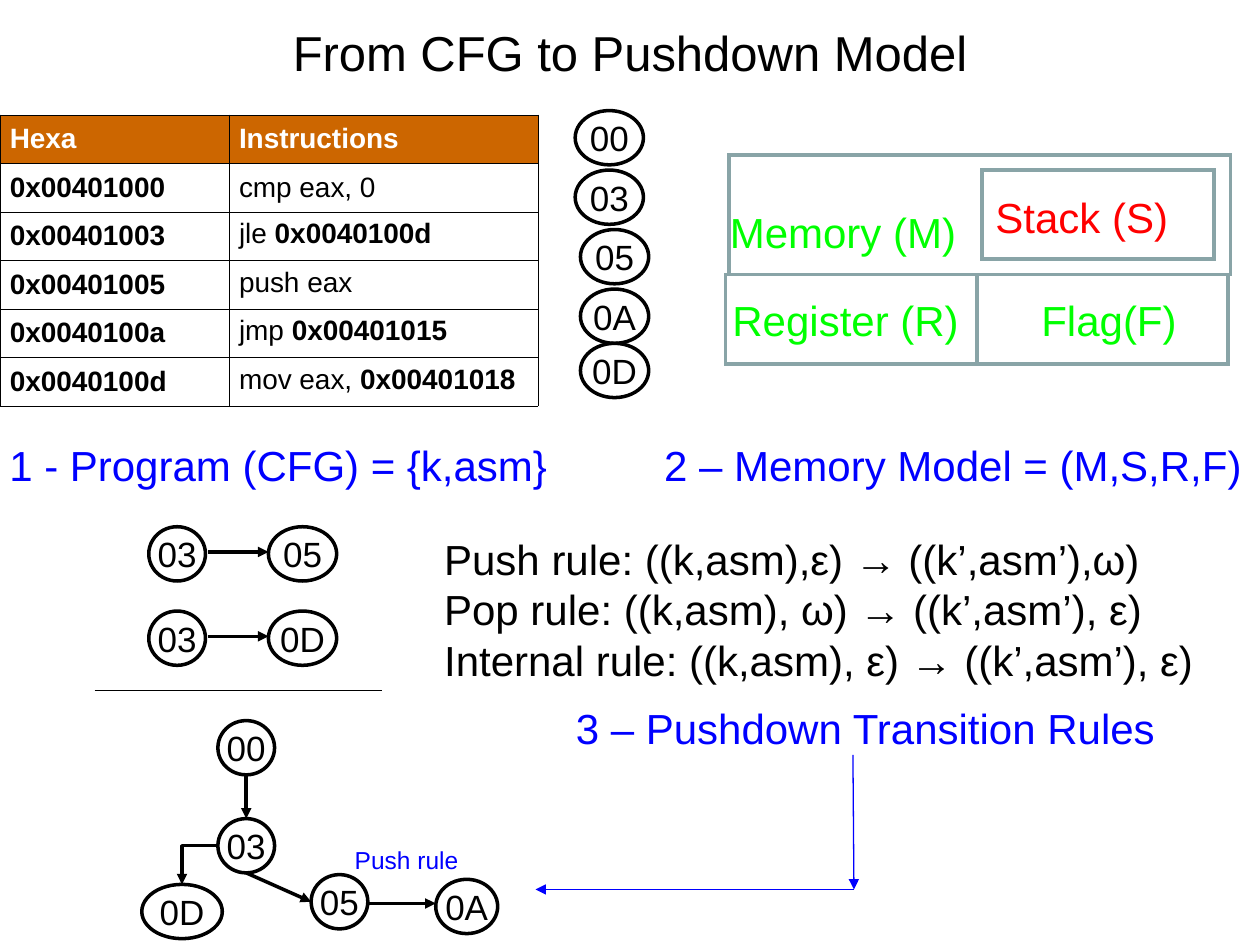
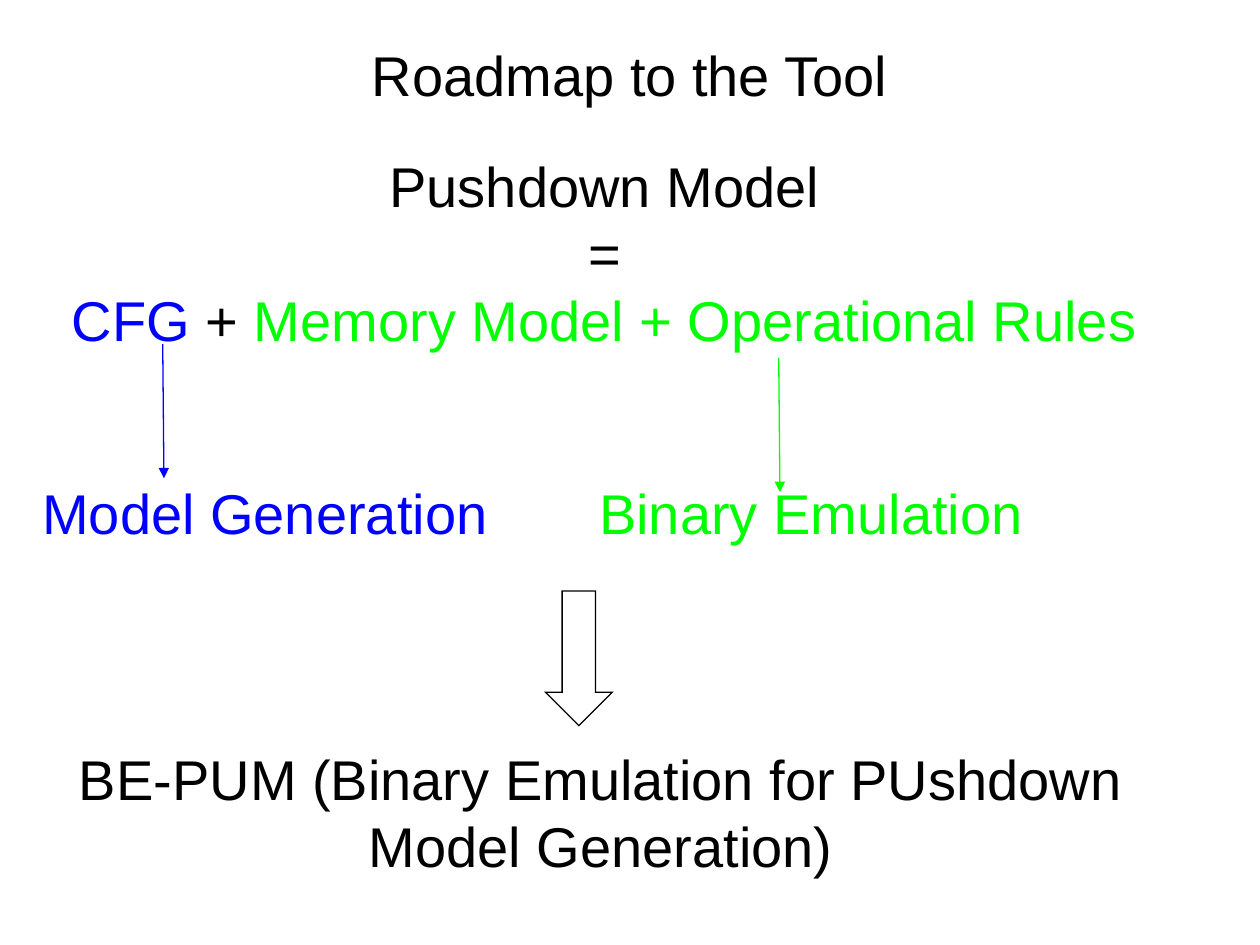
from pptx import Presentation, util as u
from pptx.dml.color import RGBColor
from pptx.enum import shapes, text
from pptx.oxml import parse_xml
from pptx.oxml.ns import nsdecls, qn
from lxml import etree

Pt = u.Pt
FONT = "Arial"
COLORS = {"black": "000000", "white": "FFFFFF", "blue": "0000FF", "green": "00FF00",
          "red": "FF0000", "frame": "89A4A7", "header": "CC6600"}
CENTER, LEFT = text.PP_ALIGN.CENTER, text.PP_ALIGN.LEFT
MIDDLE = text.MSO_ANCHOR.MIDDLE
NODE_HEIGHT = 31


def rgb(name):
    return RGBColor.from_string(COLORS[name])


# ---- Shared helpers ----
def write_paragraph(paragraph, runs, size, align=CENTER):
    """Each run is (words, colour) or (words, colour, bold)."""
    paragraph.alignment = align
    for words, color, *bold in runs:
        run = paragraph.add_run()
        run.text = words
        run.font.name, run.font.size = FONT, Pt(size)
        run.font.bold = bool(bold and bold[0])
        run.font.color.rgb = rgb(color)


def write_lines(frame, lines, size, align=CENTER):
    for number, runs in enumerate(lines):
        paragraph = frame.add_paragraph() if number else frame.paragraphs[0]
        write_paragraph(paragraph, runs, size, align)


def place(shape, left, top, width, height):
    shape.left, shape.top, shape.width, shape.height = map(Pt, (left, top, width, height))


def add_text(slide, box, lines, size=24, align=CENTER, anchor=None):
    frame = slide.shapes.add_textbox(*map(Pt, box)).text_frame
    frame.word_wrap = True
    if anchor is not None:
        frame.vertical_anchor = anchor
    write_lines(frame, lines, size, align)


def add_label(slide, words, color, left, top, width):
    """A single line that never wraps, centred on its box."""
    frame = slide.shapes.add_textbox(*map(Pt, (left, top, width, 36))).text_frame
    frame.word_wrap = False
    frame.auto_size = text.MSO_AUTO_SIZE.SHAPE_TO_FIT_TEXT
    write_lines(frame, [[(words, color)]], 24)


def add_title(slide, words, size, height):
    title = slide.shapes.title
    place(title, 36, 9.4, 648, height)
    title.text_frame.auto_size = text.MSO_AUTO_SIZE.NONE
    title.text_frame.vertical_anchor = MIDDLE
    write_lines(title.text_frame, [[(words, "black")]], size)


def add_outline(slide, kind, box, color="frame", width=2.0):
    shape = slide.shapes.add_shape(kind, *map(Pt, box))
    shape.shadow.inherit = False
    shape.fill.background()
    shape.line.color.rgb = rgb(color)
    shape.line.width = Pt(width)
    etree.SubElement(shape._element.spPr.find(qn("a:ln")), qn("a:miter"), lim="800000")
    return shape


def add_node(slide, label, left, top, width=32.4):
    node = add_outline(slide, shapes.MSO_SHAPE.OVAL, (left, top, width, NODE_HEIGHT), "black")
    node.fill.solid()
    node.fill.fore_color.rgb = rgb("white")
    frame = node.text_frame
    frame.margin_left = frame.margin_right = frame.margin_top = frame.margin_bottom = 0
    frame.vertical_anchor = MIDDLE
    write_lines(frame, [[(label, "black")]], 20)


def add_line(slide, start, end, color="black", width=2.0, arrow=True, bent=False):
    kind = shapes.MSO_CONNECTOR.ELBOW if bent else shapes.MSO_CONNECTOR.STRAIGHT
    line = slide.shapes.add_connector(kind, *map(Pt, start + end))
    line.line.color.rgb = rgb(color)
    line.line.width = Pt(width)
    properties = line._element.spPr
    if bent:
        properties.find(qn("a:prstGeom")).set("prst", "bentConnector2")
    if arrow:
        etree.SubElement(properties.find(qn("a:ln")), qn("a:tailEnd"), type="triangle")
    etree.SubElement(properties, qn("a:effectLst"))


# ---- Regions of the pushdown model slide ----
def format_cell(cell, runs, fill, spacing):
    cell.margin_left = cell.margin_right = Pt(5.6)
    cell.margin_top = cell.margin_bottom = Pt(3.6)
    paragraph = cell.text_frame.paragraphs[0]
    paragraph.line_spacing = spacing
    write_paragraph(paragraph, runs, 16, LEFT)
    if fill:
        cell.fill.solid()
        cell.fill.fore_color.rgb = rgb(fill)
    else:
        cell.fill.background()
    properties = cell._tc.get_or_add_tcPr()
    for index, side in enumerate(("lnL", "lnR", "lnT", "lnB")):
        properties.insert(index, parse_xml(
            f'<a:{side} {nsdecls("a")} w="5715"><a:solidFill>'
            f'<a:srgbClr val="{COLORS["black"]}"/></a:solidFill></a:{side}>'))


def draw_instructions(slide, left, top):
    listing = [("0x00401000", "cmp eax, 0", ""), ("0x00401003", "jle ", "0x0040100d"),
               ("0x00401005", "push eax", ""), ("0x0040100a", "jmp ", "0x00401015"),
               ("0x0040100d", "mov eax, ", "0x00401018")]
    row_height = 27.75
    row_count = len(listing) + 1
    table = slide.shapes.add_table(row_count, 2, Pt(left), Pt(top),
                                   Pt(307.5), Pt(row_count * row_height)).table
    table.first_row = table.horz_banding = False
    table.columns[0].width, table.columns[1].width = Pt(131), Pt(176.5)
    for row in table.rows:
        row.height = Pt(row_height)
    for column, heading in enumerate(("Hexa", "Instructions")):
        format_cell(table.cell(0, column), [(heading, "white", True)], "header", 1.07)
    for row, (address, operation, target) in enumerate(listing, 1):
        format_cell(table.cell(row, 0), [(address, "black", True)], None, 1.07)
        runs = [(operation, "black")] + ([(target, "black", True)] if target else [])
        format_cell(table.cell(row, 1), runs, None, 1.07 if row == 1 else 1.0)


def draw_states(slide, left, top):
    states = [("00", 0, 0), ("03", 0, 34), ("05", 3, 68), ("0A", 3, 102), ("0D", 3, 133)]
    for label, shift, drop in states:
        add_node(slide, label, left + shift, top + drop, 39)


def draw_memory_model(slide, left, top):
    frames = [(2, 0, 286.5, 68.4), (146.5, 8.6, 132.5, 51),
              (0, 68.4, 143.5, 51), (143.5, 68.4, 143.5, 51)]
    for x, y, width, height in frames:
        add_outline(slide, shapes.MSO_SHAPE.RECTANGLE, (left + x, top + y, width, height))
    labels = [("Memory (M)", "green", -6.5, 26, 147), ("Stack (S)", "red", 144, 17.5, 119),
              ("Register (R)", "green", -5, 76.5, 147), ("Flag(F)", "green", 171, 76.5, 96)]
    for words, color, x, y, width in labels:
        add_label(slide, words, color, left + x, top + y, width)


def draw_captions(slide, left, top):
    captions = [("1 - Program (CFG) = {k,asm}", 0, 0, 328),
                ("2 – Memory Model = (M,S,R,F)", 374.5, 0, 350),
                ("3 – Pushdown Transition Rules", 326.5, 150, 346)]
    for words, x, y, width in captions:
        add_label(slide, words, "blue", left + x, top + y, width)


def draw_branches(slide, left, top):
    for row, target in enumerate(("05", "0D")):
        y = top + row * 48.2
        add_node(slide, "03", left, y)
        add_node(slide, target, left + 68.4, y, 39)
        add_line(slide, (left + 34, y + 14.4), (left + 68.4, y + 14.4))
    add_line(slide, (left - 31, top + 93.6), (left + 133.2, top + 93.6), width=0.75, arrow=False)


def draw_rules(slide, left, top):
    rules = ["Push rule: ((k,asm),ε) → ((k’,asm’),ω)",
             "Pop rule: ((k,asm), ω) → ((k’,asm’), ε)",
             "Internal rule: ((k,asm), ε) → ((k’,asm’), ε)"]
    add_text(slide, (left, top, 459.4, 93.6), [[(rule, "black")] for rule in rules], align=LEFT)


def draw_graph(slide, left, top):
    nodes = [("00", 43.5, 0, 32.4), ("03", 43.5, 56, 32.4), ("05", 96.8, 88, 32.4),
             ("0D", 0, 93.6, 46), ("0A", 168, 90.7, 35.4)]
    for label, x, y, width in nodes:
        add_node(slide, label, left + x, top + y, width)
    edges = [((59.7, 31), (59.7, 56), False), ((59.7, 87), (96.8, 103.5), False),
             ((129.2, 104.5), (168, 104.5), False), ((43.5, 71.5), (23, 93.6), True)]
    for (x1, y1), (x2, y2), bent in edges:
        add_line(slide, (left + x1, top + y1), (left + x2, top + y2), bent=bent)
    add_text(slide, (left + 100.4, top + 67.7, 102, 24.5), [[("Push rule", "blue")]], size=14)
    # Pointer from the transition rules to the graph
    corner = (left + 407, top + 96.5)
    add_line(slide, (left + 406.4, top + 19.5), corner, "blue", 0.75)
    add_line(slide, corner, (left + 225, top + 96.5), "blue", 0.75)


def build_model_slide(presentation):
    slide = presentation.slides.add_slide(presentation.slide_layouts[5])
    add_title(slide, "From CFG to Pushdown Model", 28, 41)
    draw_instructions(slide, 0, 65.7)
    draw_states(slide, 328.7, 63.2)
    draw_memory_model(slide, 414.7, 88.5)
    draw_captions(slide, -5, 247.7)
    draw_branches(slide, 85, 301)
    draw_rules(slide, 246.7, 301.2)
    draw_graph(slide, 81, 411.8)


# ---- Roadmap slide ----
def draw_equation(slide, left, top):
    lines = [[("Pushdown Model", "black")], [("=", "black")],
             [("CFG", "blue"), (" + ", "black"), ("Memory Model + Operational Rules", "green")]]
    add_text(slide, (left, top, 648, 65.5), lines, size=32, anchor=MIDDLE)


def draw_parts(slide, left, top):
    body = slide.placeholders[1]
    place(body, left, top, 303, 57)
    frame = body.text_frame
    frame.auto_size = text.MSO_AUTO_SIZE.NONE
    frame.vertical_anchor = MIDDLE
    properties = frame.paragraphs[0]._p.get_or_add_pPr()
    properties.set("marL", "0")
    properties.set("indent", "0")
    etree.SubElement(properties, qn("a:buNone"))
    frame.paragraphs[0].space_before = Pt(0)
    write_lines(frame, [[("Model Generation", "blue")]], 32)
    add_text(slide, (left + 312, top, 303, 57), [[("Binary Emulation", "green")]],
             size=32, anchor=MIDDLE)
    # Arrows from the equation to its parts
    for x, y, color in ((93, -67.7, "blue"), (445, -59.8, "green")):
        add_line(slide, (left + x, top + y), (left + x + 0.7, top + y + 76.7), color, 0.75)


def draw_result(slide, left, top):
    add_outline(slide, shapes.MSO_SHAPE.DOWN_ARROW, (left + 292.3, top, 38.2, 77), "black", 0.75)
    words = "BE-PUM (Binary Emulation for PUshdown Model Generation)"
    add_text(slide, (left, top + 96.5, 648, 59), [[(words, "black")]], size=32, anchor=MIDDLE)


def build_roadmap_slide(presentation):
    slide = presentation.slides.add_slide(presentation.slide_layouts[1])
    add_title(slide, "Roadmap to the Tool", 32, 65.5)
    draw_equation(slide, 21.5, 111.4)
    draw_parts(slide, 0, 264.3)
    draw_result(slide, 19.4, 337.7)


def main():
    presentation = Presentation()
    presentation.slide_width, presentation.slide_height = Pt(720), Pt(540)
    build_model_slide(presentation)
    build_roadmap_slide(presentation)
    presentation.save("out.pptx")


if __name__ == "__main__":
    main()
